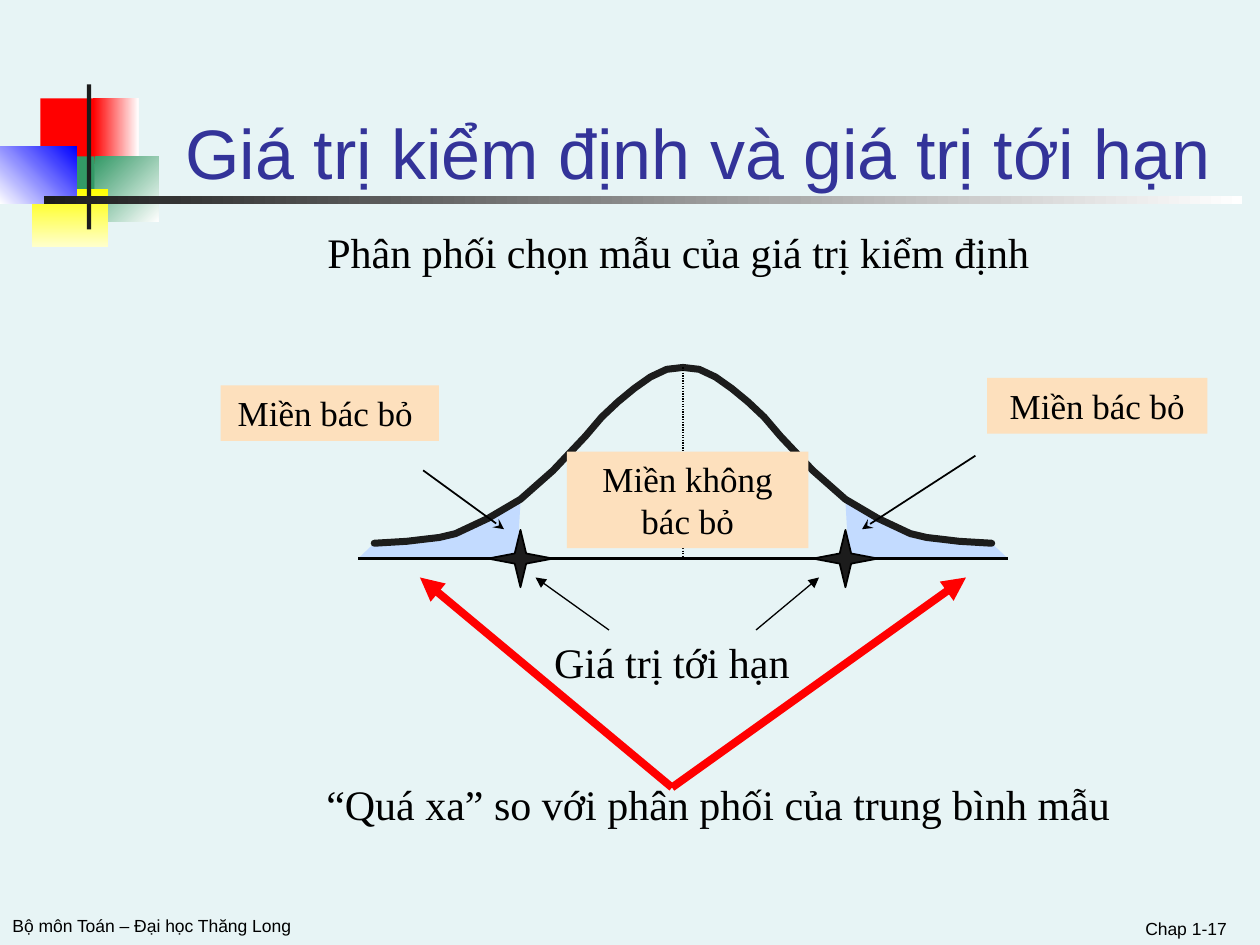
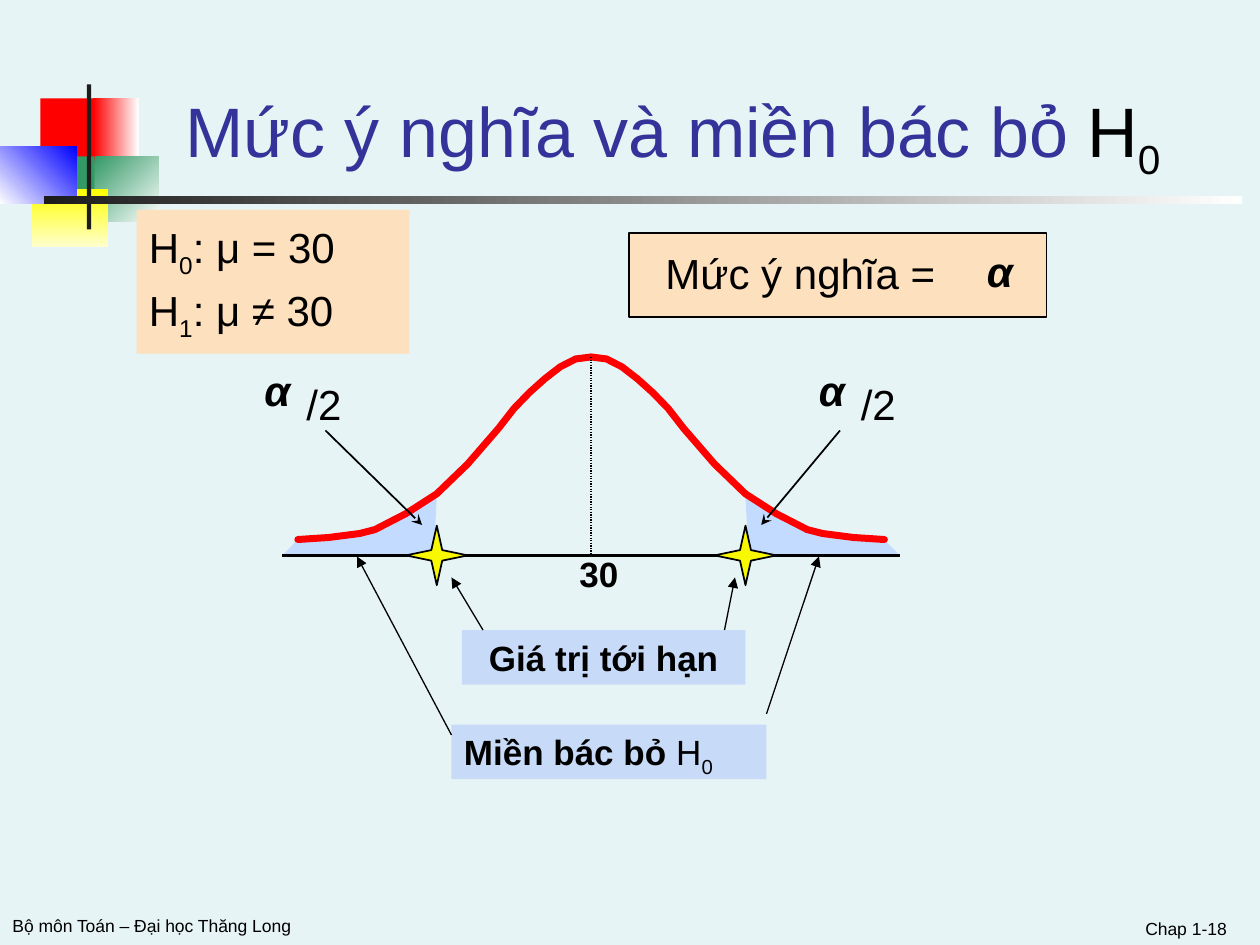
"""Build two slides on critical values and rejection regions of a hypothesis test."""
import dataclasses

import pptx
import pptx.dml.color
import pptx.enum.dml
import pptx.enum.shapes
import pptx.enum.text
import pptx.oxml
import pptx.oxml.ns
import pptx.util


@dataclasses.dataclass(frozen=True)
class Theme:
    back: str = "E7F4F5"
    ink: str = "000000"
    dark: str = "1C1C1C"
    title: str = "333399"
    peach: str = "FDE0BD"
    sky: str = "C7DAF7"
    tail: str = "C3DBFF"
    red: str = "FF0000"
    yellow: str = "F8F800"
    sans: str = "Arial"
    serif: str = "Times New Roman"
    title_size: int = 40
    body_size: int = 24
    label_size: int = 20
    footer_size: int = 10


T = Theme()
COLUMNS, ROWS = 120, 90
SHAPES = pptx.enum.shapes.MSO_SHAPE
FOOTER = "Bộ môn Toán – Đại học Thăng Long"

# Each entry: box in grid cells, colours, gradient angle (clockwise).
DECOR = [
    ((3.84, 9.36, 5.76, 6.24), ["FF0000"], 0),
    ((8.88, 9.36, 4.32, 6.24), ["FF0000", "FFFFFF"], 0),
    ((9, 14.88, 6.12, 6.24), ["339966", "FFFFFF"], 45),
    ((5.16, 14.88, 3.84, 6.24), ["339966"], 0),
    ((3, 18, 7.32, 5.52), ["FFFF00", "FFFFCC"], 90),
    ((0, 13.92, 7.32, 5.52), ["FFFFFF", "0000FF"], 315),
    ((8.28, 8.04, 0.4, 13.8), [T.dark], 0),
    ((4.2, 18.72, 114.12, 0.72), [T.dark, "FFFFFF"], 0),
]

# Bell outline: share of the half width from the centre, share of the height.
BELL = [(0.95, 0.08), (0.85, 0.09), (0.8, 0.1), (0.75, 0.11), (0.7, 0.13), (0.65, 0.17),
        (0.6, 0.21), (0.5, 0.31), (0.4, 0.46), (0.3, 0.64), (0.25, 0.74), (0.2, 0.82),
        (0.15, 0.89), (0.1, 0.95), (0.05, 0.99), (0, 1)]
TAIL = [(1, 0), (0.95, 0.08), (0.74, 0.13), (0.64, 0.18), (0.52, 0.29), (0.5, 0.3), (0.51, 0)]
CRITICAL = 0.5

SERIF = dict(font=T.serif)
SERIF_BOX = dict(font=T.serif, size=T.label_size, fill=T.peach, align="CENTER")
SKY_BOX = dict(size=T.label_size, fill=T.sky)
ALPHA = dict(bold=True, italic=True)
THIN, MEDIUM, THICK = (0.75, "triangle"), (1, "stealth"), (4.5, "triangle")

SLIDES = [
    dict(
        page="Chap 1-17",
        title=((16, 2, 101, 17), ["Giá trị kiểm định và giá trị tới hạn"], {}),
        bell=dict(left=34.1, right=96, base=53.2, peak=35, color=T.dark, star=T.dark),
        texts=[
            ((13, 60, 102, 6), ["Giá trị tới hạn"], dict(SERIF, align="CENTER")),
            ((17.4, 73.6, 102, 6), ["“Quá xa” so với phân phối của trung bình mẫu"],
             dict(SERIF, align="CENTER")),
            ((30, 21, 77, 6), ["Phân phối chọn mẫu của giá trị kiểm định"], SERIF),
            ((21, 36.7, 20.8, 5.3), ["Miền bác bỏ "], SERIF_BOX),
            ((94, 36, 21, 5.3), ["Miền bác bỏ"], SERIF_BOX),
            ((54, 43, 23, 9.2), ["Miền không bác bỏ"], SERIF_BOX),
        ],
        arrows=[
            ((40.3, 44.8), (48, 50.4), MEDIUM, T.ink),
            ((92.9, 43.4), (82.1, 50.4), MEDIUM, T.ink),
            ((58, 60), (51, 55), THIN, T.ink),
            ((72, 60), (78, 55), THIN, T.ink),
            ((64, 75), (40, 55), THICK, T.red),
            ((64, 75), (92, 55), THICK, T.red),
        ],
    ),
    dict(
        page="Chap 1-18",
        title=((13, 4, 102.2, 13), [[("Mức ý nghĩa và miền bác bỏ ", ""), ("H", "ink"),
                                     ("0", "ink sub")]], dict(spacing=0.8)),
        bell=dict(left=26.9, right=85.7, base=52.9, peak=34, color=T.red, star=T.yellow),
        texts=[
            ((59.9, 22.2, 39.8, 8), [], dict(fill=T.peach, line=T.ink)),
            ((62.2, 23, 29.5, 6.1), ["Mức ý nghĩa ="], {}),
            ((92.8, 22.8, 7, 6.7), ["α"], ALPHA),
            ((13, 20, 26, 13.7), [[("H", ""), ("0", "sub"), (": μ = 30", "")],
                                  [("H", ""), ("1", "sub"), (": μ ≠ 30", "")]],
             dict(fill=T.peach, spacing=1.1)),
            ((44, 60, 27, 5.2), ["Giá trị tới hạn"], dict(SKY_BOX, bold=True, align="CENTER")),
            ((43, 69, 30, 5.2), [[("Miền bác bỏ ", "bold"), ("H", ""), ("0", "sub")]], SKY_BOX),
            ((54, 52, 7, 5.2), ["30"], dict(size=T.label_size, bold=True)),
            ((24, 34.1, 7.4, 6.7), ["α"], ALPHA),
            ((28, 35.5, 13.3, 6), ["/2"], {}),
            ((76.8, 34.1, 7.4, 6.7), ["α"], ALPHA),
            ((80.8, 35.5, 13.3, 6), ["/2"], {}),
        ],
        arrows=[
            ((31, 41), (40.2, 50), MEDIUM, T.ink),
            ((80, 41), (72.5, 50), MEDIUM, T.ink),
            ((46, 60), (43, 55), THIN, T.ink),
            ((69, 60), (70, 55), THIN, T.ink),
            ((73, 68), (78, 53), THIN, T.ink),
            ((43, 70), (34, 53), THIN, T.ink),
        ],
    ),
]

prs = pptx.Presentation()
prs.slide_width, prs.slide_height = pptx.util.Inches(10), pptx.util.Inches(7.5)


def cells(*values):
    """Turn grid cells, alternately columns and rows, into lengths."""
    units = prs.slide_width / COLUMNS, prs.slide_height / ROWS
    return [round(v * units[i % 2]) for i, v in enumerate(values)]


def rgb(color):
    return pptx.dml.color.RGBColor.from_string(color)


def paint(sp, fill=None, line=None, width=0.75):
    """Give a shape a plain fill and outline, or none."""
    sp.shadow.inherit = False
    if fill:
        sp.fill.solid()
        sp.fill.fore_color.rgb = rgb(fill)
    else:
        sp.fill.background()
    if line:
        sp.line.color.rgb = rgb(line)
        sp.line.width = pptx.util.Pt(width)
    else:
        sp.line.fill.background()


def add_text(s, box, paragraphs, font=T.sans, size=T.body_size, color=T.ink, bold=None,
             italic=None, align="LEFT", anchor="TOP", spacing=None, fill=None, line=None):
    """Add a text box, or a filled rectangle carrying text."""
    if fill:
        sp = s.shapes.add_shape(SHAPES.RECTANGLE, *cells(*box))
        paint(sp, fill, line)
    else:
        sp = s.shapes.add_textbox(*cells(*box))
    tf = sp.text_frame
    tf.word_wrap = True
    tf.vertical_anchor = getattr(pptx.enum.text.MSO_ANCHOR, anchor)
    for i, runs in enumerate(paragraphs):
        p = tf.add_paragraph() if i else tf.paragraphs[0]
        p.alignment = getattr(pptx.enum.text.PP_ALIGN, align)
        p.line_spacing = spacing
        p.font.name, p.font.size = font, pptx.util.Pt(size)
        p.font.bold, p.font.italic = bold, italic
        p.font.color.rgb = rgb(color)
        for text, marks in [(runs, "")] if isinstance(runs, str) else runs:
            r = p.add_run()
            r.text = text
            if "bold" in marks:
                r.font.bold = True
            if "ink" in marks:
                r.font.color.rgb = rgb(T.ink)
            if "sub" in marks:
                r._r.get_or_add_rPr().set("baseline", "-25000")


def add_line(s, start, end, width, color=T.ink, head=None, dash=None):
    """Draw a straight line, with an optional arrowhead at its end."""
    sp = s.shapes.add_connector(pptx.enum.shapes.MSO_CONNECTOR.STRAIGHT, *cells(*start, *end))
    sp.line.color.rgb = rgb(color)
    sp.line.width = pptx.util.Pt(width)
    if dash:
        sp.line.dash_style = dash
    if head:
        tip = pptx.oxml.parse_xml(f'<a:tailEnd {pptx.oxml.ns.nsdecls("a")} type="{head}"/>')
        sp.line._get_or_add_ln().append(tip)
    sp._element.spPr.append(pptx.oxml.parse_xml(f'<a:effectLst {pptx.oxml.ns.nsdecls("a")}/>'))


def add_outline(s, points, close):
    corners = [cells(*point) for point in points]
    builder = s.shapes.build_freeform(*corners[0])
    builder.add_line_segments(corners[1:], close=close)
    return builder.convert_to_shape()


def add_bell(s, left, right, base, peak, color, star):
    """Draw the bell curve with its axis, shaded tails and critical values."""
    center, half, height = (left + right) / 2, (right - left) / 2, base - peak

    def place(points, side):
        return [(center + side * x * half, base - y * height) for x, y in points]

    sides = (1, -1)
    for side in sides:
        paint(add_outline(s, place(TAIL, side), True), T.tail)
    for side in sides:
        curve = add_outline(s, place(BELL, side), False)
        paint(curve, line=color, width=4)
        curve.line._get_or_add_ln().set("cap", "rnd")
    add_line(s, (left, base), (right, base), 2)
    add_line(s, (center, peak), (center, base), 0.75,
             dash=pptx.enum.dml.MSO_LINE.ROUND_DOT)
    rx, ry = half / 10, height * 0.15
    for side in sides:
        x = center + side * CRITICAL * half
        sp = s.shapes.add_shape(SHAPES.STAR_4_POINT, *cells(x - rx, base - ry, 2 * rx, 2 * ry))
        paint(sp, star, T.ink, 1)


def add_decor(s):
    """Draw the coloured blocks and the rule beside the title."""
    for box, colors, angle in DECOR:
        sp = s.shapes.add_shape(SHAPES.RECTANGLE, *cells(*box))
        paint(sp, colors[0])
        if len(colors) > 1:
            sp.fill.gradient()
            sp.fill.gradient_angle = -angle % 360
            for stop, color in zip(sp.fill.gradient_stops, colors):
                stop.color.rgb = rgb(color)


def add_slide(page, title, bell, texts, arrows):
    s = prs.slides.add_slide(prs.slide_layouts[6])
    s.background.fill.solid()
    s.background.fill.fore_color.rgb = rgb(T.back)
    add_decor(s)
    box, paragraphs, style = title
    add_text(s, box, paragraphs, size=T.title_size, color=T.title, align="CENTER",
             anchor="BOTTOM", **style)
    add_bell(s, **bell)
    for box, paragraphs, style in texts:
        add_text(s, box, paragraphs, **style)
    for start, end, (width, head), color in arrows:
        add_line(s, start, end, width, color, head)
    add_text(s, (0, 86.6, 58, 3.4), [FOOTER], size=T.footer_size)
    add_text(s, (90, 85.8, 28, 4.2), [page], size=T.footer_size, align="RIGHT", anchor="BOTTOM")


for content in SLIDES:
    add_slide(**content)
prs.save("out.pptx")
